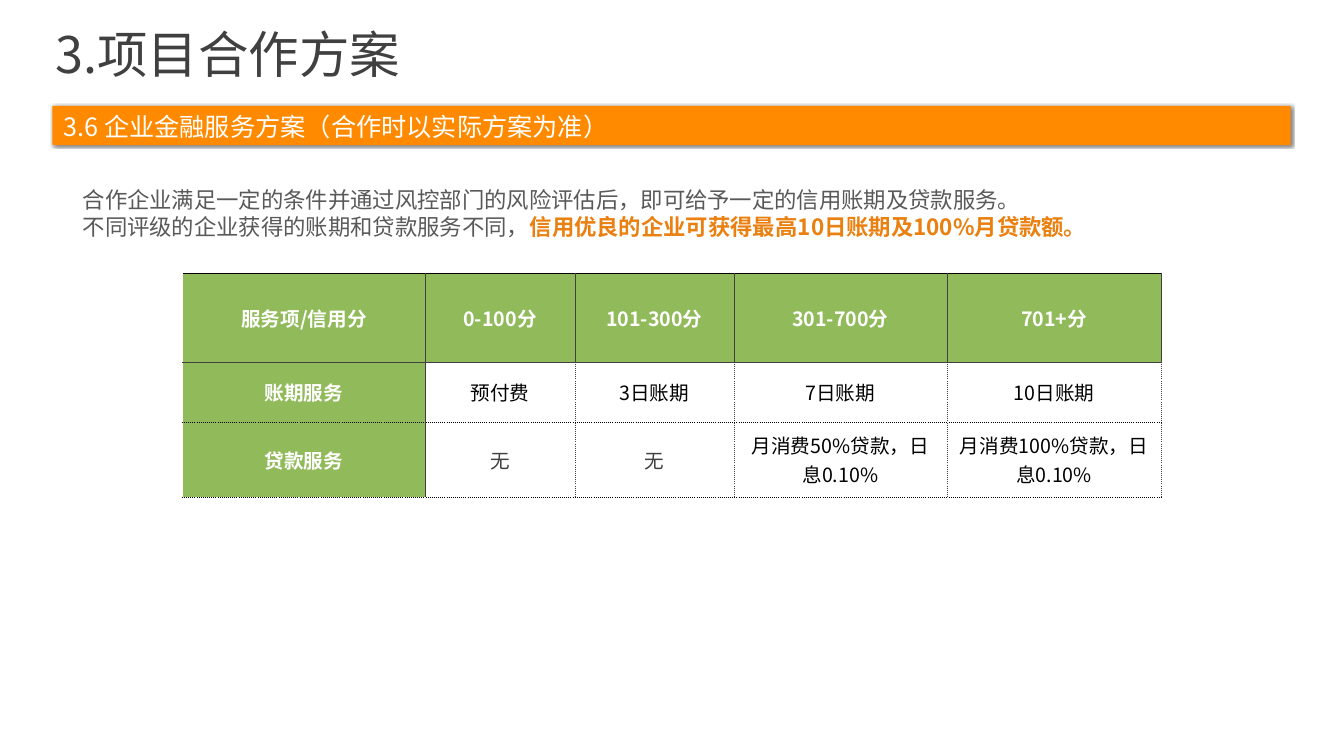
from lxml import etree
from pptx import Presentation
from pptx.dml.color import RGBColor
from pptx.enum.shapes import MSO_SHAPE
from pptx.enum.text import MSO_ANCHOR, MSO_AUTO_SIZE, PP_ALIGN
from pptx.oxml import parse_xml
from pptx.oxml.ns import nsdecls, qn
from pptx.util import Inches, Pt

FONT = "Noto Sans CJK SC"
ORANGE = RGBColor(0xFF, 0x8A, 0x00)
ACCENT = RGBColor(0xEA, 0x80, 0x10)
GREEN = RGBColor(0x91, 0xBA, 0x5B)
DARK = RGBColor(0x40, 0x40, 0x40)
GRAY = RGBColor(0x59, 0x59, 0x59)
BLACK = RGBColor(0, 0, 0)
WHITE = RGBColor(0xFF, 0xFF, 0xFF)
RECT = MSO_SHAPE.RECTANGLE
TOP, MIDDLE = MSO_ANCHOR.TOP, MSO_ANCHOR.MIDDLE
LEFT, CENTER = PP_ALIGN.LEFT, PP_ALIGN.CENTER
GROW = MSO_AUTO_SIZE.SHAPE_TO_FIT_TEXT


def style_run(r, size, color, bold=False):
    r.font.size = Pt(size)
    r.font.name = FONT
    r.font.bold = bold
    r.font.color.rgb = color
    etree.SubElement(r.font._element, qn("a:ea")).set("typeface", FONT)


def set_border(cell, side, color, width=0.25, dash="solid"):
    """Add one cell border; call in the order L, R, T, B, before the fill."""
    cell._tc.get_or_add_tcPr().append(parse_xml(
        f'<a:ln{side} {nsdecls("a")} w="{Pt(width)}"><a:solidFill>'
        f'<a:srgbClr val="{color}"/></a:solidFill>'
        f'<a:prstDash val="{dash}"/></a:ln{side}>'))


prs = Presentation()
prs.slide_width, prs.slide_height = Inches(13.33), Inches(7.5)
s = prs.slides.add_slide(prs.slide_layouts[5])

# Section banner
banner = s.shapes.add_shape(RECT, Inches(0.52), Inches(1.05), Inches(12.28), Inches(0.39))
banner.fill.solid()
banner.fill.fore_color.rgb = ORANGE
banner.line.fill.background()
banner._element.spPr.append(parse_xml(
    f'<a:effectLst {nsdecls("a")}>'
    f'<a:outerShdw blurRad="{Pt(2)}" dist="{Pt(1)}" dir="2700000" algn="tl" rotWithShape="0">'
    '<a:srgbClr val="000000"><a:alpha val="50000"/></a:srgbClr>'
    '</a:outerShdw></a:effectLst>'))

# Title, section heading and introduction
title = s.shapes.title
title.left, title.top = Inches(0.55), Inches(0.35)
title.width, title.height = Inches(12.26), Inches(0.5)
heading = s.shapes.add_textbox(Inches(0.63), Inches(1.1), Inches(11.69), Inches(0.32))
intro = s.shapes.add_textbox(Inches(0.82), Inches(1.85), Inches(11.25), Inches(0.55))

TEXTS = [
    (title, 36, [[("3.项目合作方案", DARK, False)]]),
    (heading, 18, [[("3.6 企业金融服务方案（合作时以实际方案为准）", WHITE, False)]]),
    (intro, 16, [
        [("合作企业满足一定的条件并通过风控部门的风险评估后，即可给予一定的信用账期及贷款服务。", GRAY, False)],
        [("不同评级的企业获得的账期和贷款服务不同，", GRAY, False),
         ("信用优良的企业可获得最高10日账期及100%月贷款额。", ACCENT, True)],
    ]),
]
for sp, size, paragraphs in TEXTS:
    tf = sp.text_frame
    tf.word_wrap = True
    tf.auto_size = GROW
    tf.vertical_anchor = TOP
    tf.margin_left = tf.margin_right = tf.margin_top = tf.margin_bottom = 0
    for i, runs in enumerate(paragraphs):
        p = tf.add_paragraph() if i else tf.paragraphs[0]
        p.alignment = LEFT
        for text, color, bold in runs:
            r = p.add_run()
            r.text = text
            style_run(r, size, color, bold)
title.text_frame.paragraphs[0].line_spacing = 0.8

# Services by credit score
ROWS = [
    ["服务项/信用分", "0-100分", "101-300分", "301-700分", "701+分"],
    ["账期服务", "预付费", "3日账期", "7日账期", "10日账期"],
    ["贷款服务", "无", "无", "月消费50%贷款，日息0.10%", "月消费100%贷款，日息0.10%"],
]
COL_WIDTHS = [2.41, 1.48, 1.58, 2.11, 2.13]
ROW_HEIGHTS = [0.88, 0.6, 0.74]

table = s.shapes.add_table(len(ROWS), len(COL_WIDTHS), Inches(1.81), Inches(2.71),
                           Inches(sum(COL_WIDTHS)), Inches(sum(ROW_HEIGHTS))).table
table.first_row = table.horz_banding = False
for column, width in zip(table.columns, COL_WIDTHS):
    column.width = Inches(width)
for row, height in zip(table.rows, ROW_HEIGHTS):
    row.height = Inches(height)

for i, row in enumerate(ROWS):
    for j, text in enumerate(row):
        cell = table.cell(i, j)
        is_header = i == 0 or j == 0
        if j > 0:
            set_border(cell, "L", DARK, dash="sysDot" if i > 0 and j > 1 else "solid")
        set_border(cell, "R", DARK, dash="solid" if is_header else "sysDot")
        if i == 0:
            set_border(cell, "T", BLACK, 1)
            set_border(cell, "B", DARK)
        else:
            if i == 1:
                set_border(cell, "T", DARK)
            else:
                set_border(cell, "T", BLACK, dash="sysDot")
            set_border(cell, "B", BLACK, dash="sysDot")
        if is_header:
            cell.fill.solid()
            cell.fill.fore_color.rgb = GREEN
        else:
            cell.fill.background()
        cell.vertical_anchor = MIDDLE
        cell.text_frame.text = text
        p = cell.text_frame.paragraphs[0]
        p.alignment = CENTER
        color = WHITE if is_header else DARK if text == "无" else BLACK
        style_run(p.runs[0], 14, color, is_header)

prs.save("out.pptx")
